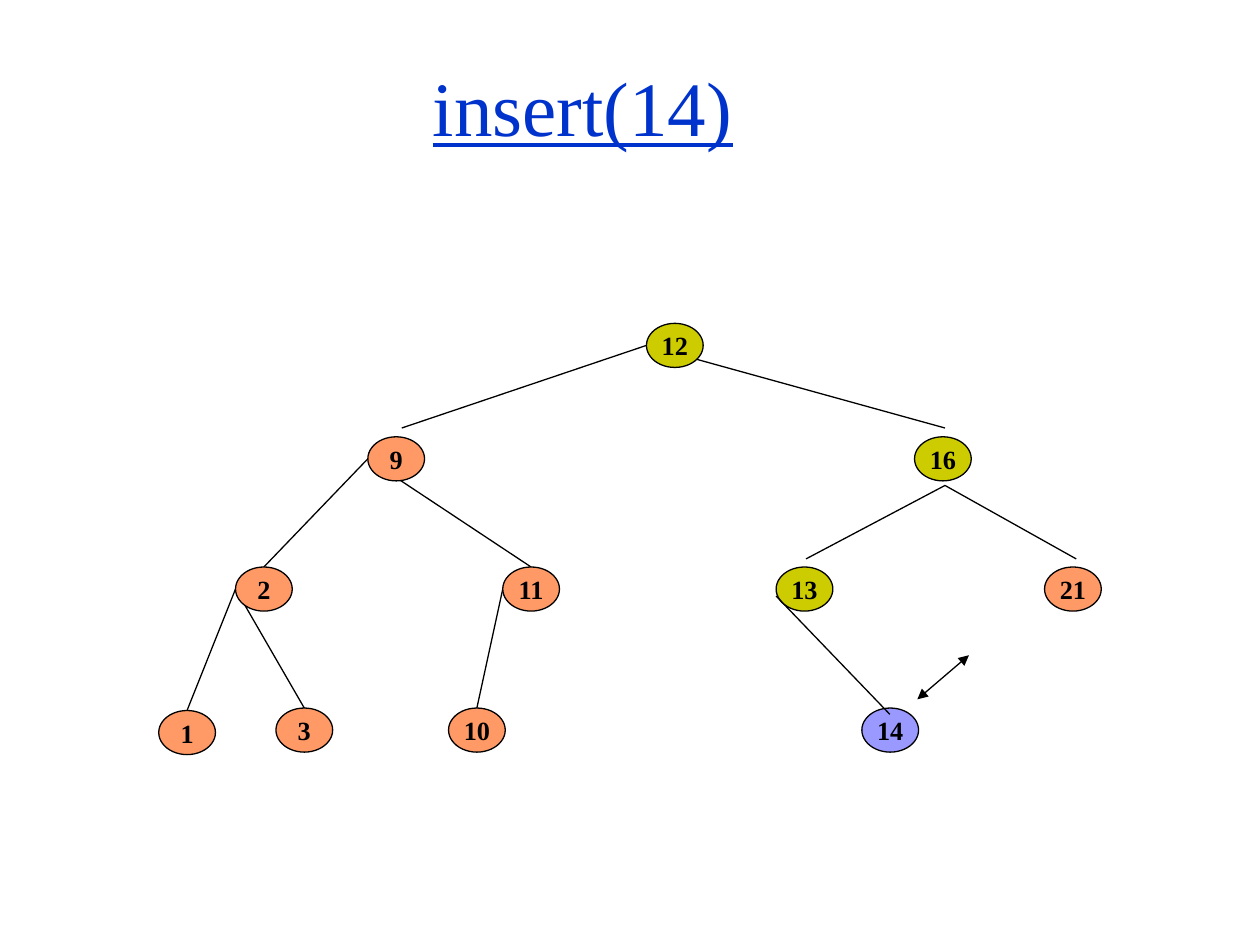
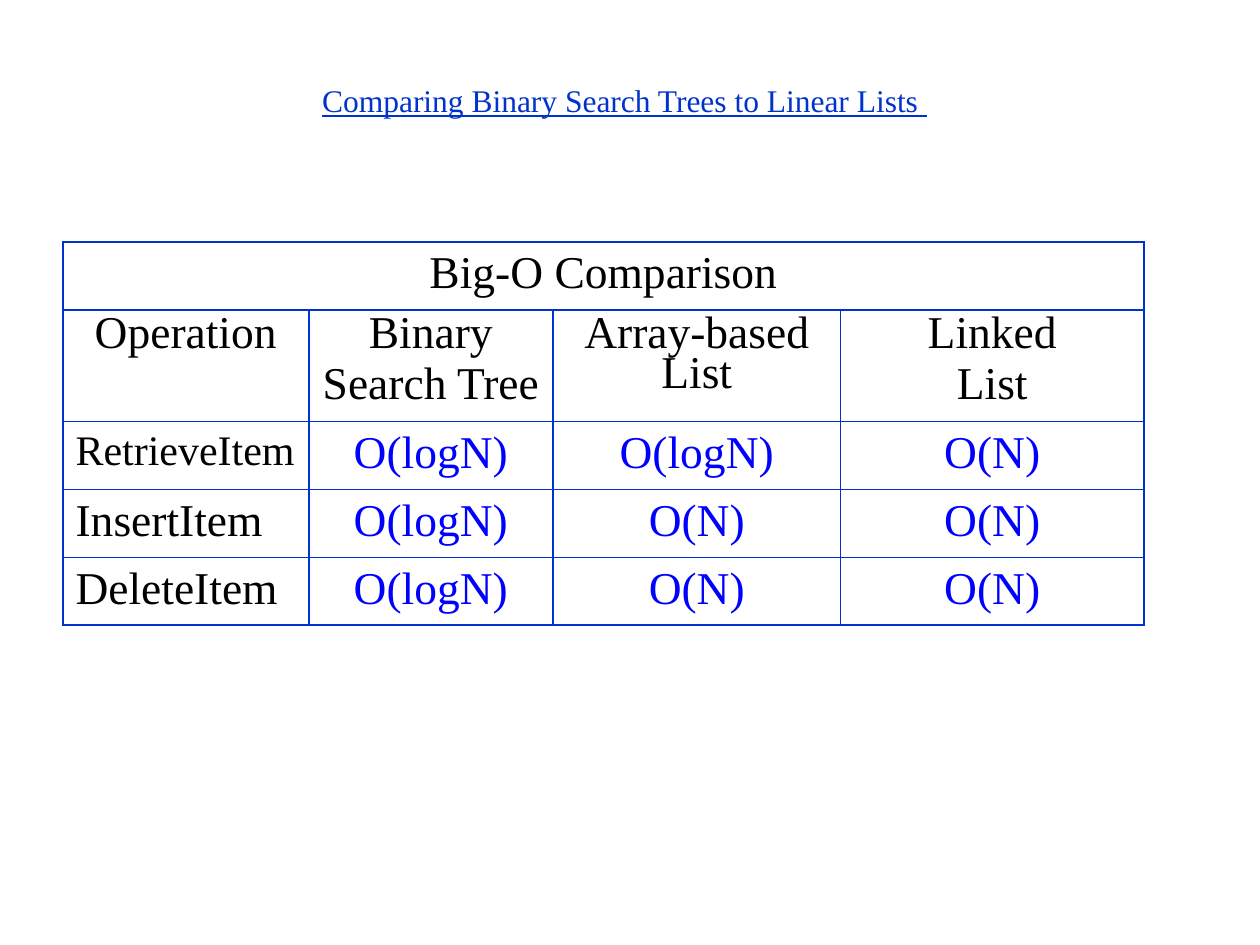
import dataclasses
import typing

import lxml.etree
import pptx
import pptx.dml.color
import pptx.enum.shapes
import pptx.enum.text
import pptx.oxml.ns
import pptx.util

Pt = pptx.util.Pt
ALIGN = pptx.enum.text.PP_ALIGN
MIDDLE = pptx.enum.text.MSO_ANCHOR.MIDDLE
qn = pptx.oxml.ns.qn

HUES = {
    "title": "0033CC",
    "ink": "000000",
    "cost": "0000FF",
    "on_route": "CCCC00",
    "plain": "FF9966",
    "new": "9999FF",
}
FACE = "Times New Roman"
NODE_W, NODE_H = 32.4, 25.2
THIN = 0.75
RULE = 1.08

Point = tuple[float, float]


@dataclasses.dataclass
class Node:
    label: str
    x: float
    y: float
    hue: str = "plain"

    @property
    def left(self) -> Point:
        return self.x, self.y + NODE_H / 2

    @property
    def top(self) -> Point:
        return self.x + NODE_W / 2, self.y


@dataclasses.dataclass
class Edge:
    start: Point
    end: Point


@dataclasses.dataclass
class Title:
    text: str
    box: tuple[float, float, float, float]
    size: float
    inset: Point


TITLES = [
    Title("insert(14)", (36, 9.4, 594, 102.2), 44, (0, 0)),
    Title("Comparing Binary Search Trees to Linear Lists ",
          (41.8, 48.2, 630, 18), 18, (7.2, 3.6)),
]

ROWS_Y = (184.8, 249.6, 324, 404.6)
NODES = {
    node.label: node
    for node in (
        Node("12", 369.4, ROWS_Y[0], "on_route"),
        Node("16", 522.6, ROWS_Y[1], "on_route"),
        Node("9", 210.2, ROWS_Y[1]),
        Node("2", 134.6, ROWS_Y[2]),
        Node("11", 287.3, ROWS_Y[2]),
        Node("13", 443.5, ROWS_Y[2], "on_route"),
        Node("21", 596.9, ROWS_Y[2]),
        Node("10", 256.3, ROWS_Y[3]),
        Node("1", 90.7, ROWS_Y[3] + 1.4),
        Node("3", 157.7, ROWS_Y[3]),
        Node("14", 492.5, ROWS_Y[3], "new"),
    )
}
# Left side of the parent to the top of the child
LINKS = [("9", "11"), ("9", "2"), ("2", "1"), ("2", "3"), ("11", "10")]
FORK = (540, 277.4)
EDGES = [
    Edge(NODES["12"].left, (229.6, 244.6)),
    Edge(NODES["12"].left, (540, 244.6)),
    Edge(FORK, (615, 319.4)),
    Edge(FORK, (460.6, 319.4)),
    *(Edge(NODES[up].left, NODES[low].top) for up, low in LINKS),
]
NEW_EDGE = Edge((443.5, 340.6), (508.5, 408.2))
SWAP = Edge((553.7, 374.4), (524.2, 399.6))

COLS = (140.4, 139.7, 164.2, 173.5)
ROW_H, HEAD_H = 38.8, 64
GRID = [
    ["Big-O Comparison", "", "", ""],
    ["Operation", "Binary\nSearch Tree", "Array-based List", "Linked\nList"],
    ["RetrieveItem", "O(logN)", "O(logN)", "O(N)"],
    ["InsertItem", "O(logN)", "O(N)", "O(N)"],
    ["DeleteItem", "O(logN)", "O(N)", "O(N)"],
]


def rgb(name: str) -> pptx.dml.color.RGBColor:
    return pptx.dml.color.RGBColor.from_string(HUES[name])


def apply(target: typing.Any, values: dict[str, typing.Any]) -> None:
    """Set each named attribute on the target."""
    for name, value in values.items():
        setattr(target, name, value)


def write(frame: typing.Any, text: str, size: float, hue: str,
          align: typing.Any = ALIGN.CENTER, para: dict | None = None,
          **style: typing.Any) -> None:
    """Fill a text frame, one paragraph to a line of text."""
    frame.text = text
    for part in frame.paragraphs:
        apply(part, {"alignment": align, **(para or {})})
        apply(part.font, {"name": FACE, "size": Pt(size), **style})
        part.font.color.rgb = rgb(hue)
    for part in frame.paragraphs[1:]:
        part.space_before = Pt(6.5)


def pad(frame: typing.Any, side: float, end: float) -> None:
    apply(frame, {
        "margin_left": Pt(side), "margin_right": Pt(side),
        "margin_top": Pt(end), "margin_bottom": Pt(end),
        "vertical_anchor": MIDDLE, "word_wrap": True,
    })


def add_title(slide: typing.Any, title: Title) -> None:
    frame = slide.shapes.add_textbox(*map(Pt, title.box)).text_frame
    pad(frame, *title.inset)
    write(frame, title.text, title.size, "title", underline=True)


def add_edge(slide: typing.Any, edge: Edge, arrows: bool = False) -> None:
    line = slide.shapes.add_connector(
        pptx.enum.shapes.MSO_CONNECTOR.STRAIGHT,
        *map(Pt, (*edge.start, *edge.end)))
    line.line.width = Pt(THIN)
    line.line.color.rgb = rgb("ink")
    if arrows:
        stroke = line.line._get_or_add_ln()
        for tag in ("a:headEnd", "a:tailEnd"):
            lxml.etree.SubElement(stroke, qn(tag), type="triangle")
    lxml.etree.SubElement(line._element.spPr, qn("a:effectLst"))


def add_node(slide: typing.Any, node: Node) -> None:
    oval = slide.shapes.add_shape(
        pptx.enum.shapes.MSO_SHAPE.OVAL,
        *map(Pt, (node.x, node.y, NODE_W, NODE_H)))
    oval.shadow.inherit = False
    oval.fill.solid()
    oval.fill.fore_color.rgb = rgb(node.hue)
    oval.line.width = Pt(THIN)
    oval.line.color.rgb = rgb("ink")
    pad(oval.text_frame, 0, 0)
    write(oval.text_frame, node.label, 15, "ink", bold=True)


def frame_cell(cell: typing.Any) -> None:
    """Rule all four sides of a cell and leave it unfilled."""
    props = cell._tc.get_or_add_tcPr()
    for side in ("a:lnL", "a:lnR", "a:lnT", "a:lnB"):
        rule = lxml.etree.SubElement(props, qn(side), w=str(int(Pt(RULE))))
        fill = lxml.etree.SubElement(rule, qn("a:solidFill"))
        lxml.etree.SubElement(fill, qn("a:srgbClr"), val=HUES["title"])
    cell.fill.background()


def add_grid(slide: typing.Any) -> None:
    heights = [HEAD_H if row == 1 else ROW_H for row in range(len(GRID))]
    table = slide.shapes.add_table(
        len(GRID), len(COLS),
        *map(Pt, (36, 138.2, sum(COLS), sum(heights)))).table
    apply(table, {"first_row": False, "horz_banding": False})
    for col, width in zip(table.columns, COLS):
        col.width = Pt(width)
    for row, height in zip(table.rows, heights):
        row.height = Pt(height)
    for r, texts in enumerate(GRID):
        for c, text in enumerate(texts):
            cell = table.cell(r, c)
            frame_cell(cell)
            if not text:
                continue
            body = r > 1
            write(cell.text_frame, text,
                  24 if text == "RetrieveItem" else 26,
                  "cost" if body and c else "ink",
                  ALIGN.LEFT if body and not c else ALIGN.CENTER,
                  {"line_spacing": 0.8} if r == 1 else None)
    table.cell(0, 0).merge(table.cell(0, len(COLS) - 1))


def draw_tree(slide: typing.Any) -> None:
    for edge in EDGES:
        add_edge(slide, edge)
    for node in NODES.values():
        add_node(slide, node)
    add_edge(slide, NEW_EDGE)
    add_edge(slide, SWAP, arrows=True)


def main() -> None:
    deck = pptx.Presentation()
    apply(deck, {"slide_width": Pt(720), "slide_height": Pt(540)})
    for title, draw in zip(TITLES, (draw_tree, add_grid)):
        slide = deck.slides.add_slide(deck.slide_layouts[6])
        add_title(slide, title)
        draw(slide)
    deck.save("out.pptx")


if __name__ == "__main__":
    main()
